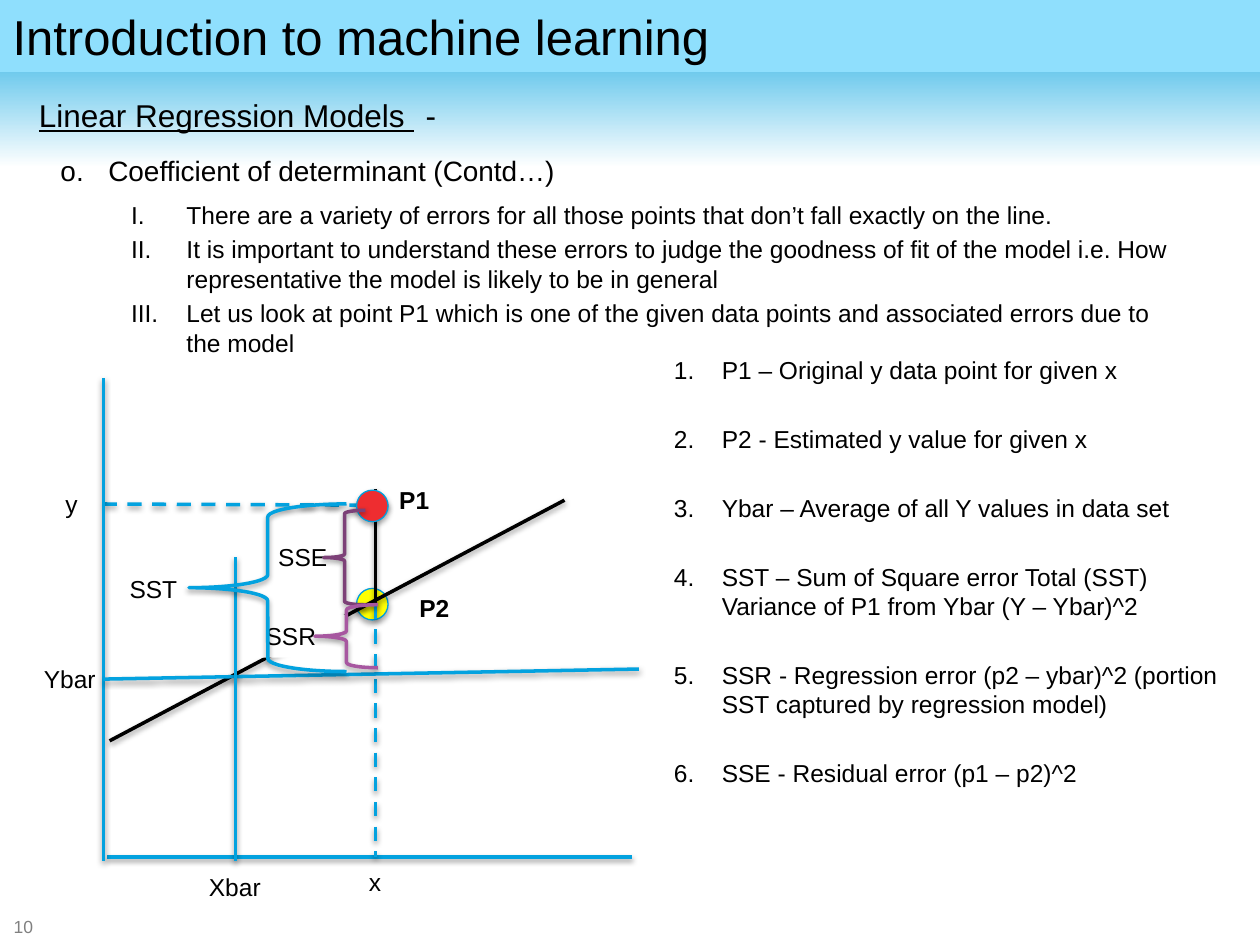
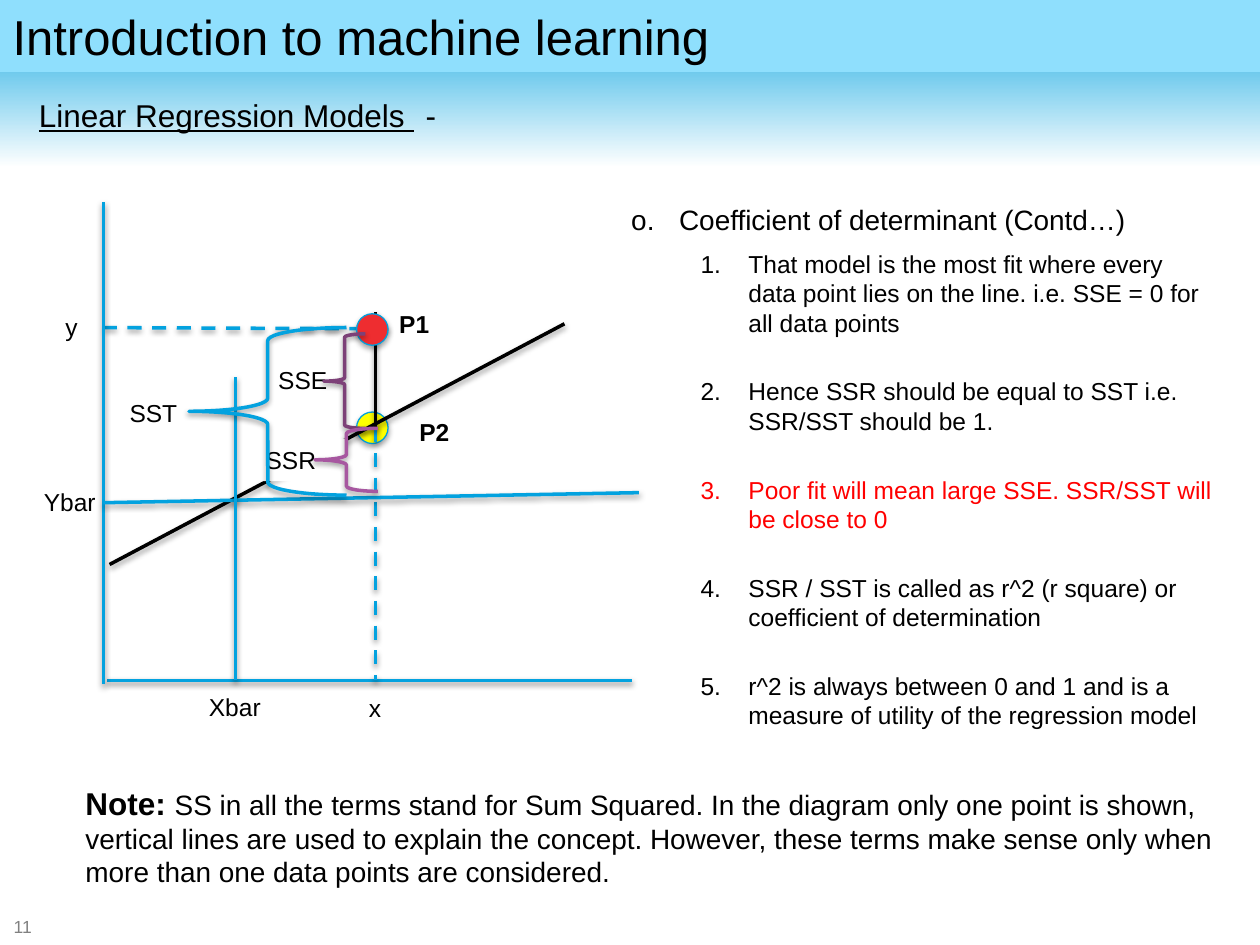
from dataclasses import dataclass
from typing import Optional, Union

from pptx import Presentation
from pptx.dml.color import RGBColor
from pptx.enum.dml import MSO_LINE
from pptx.enum.shapes import MSO_CONNECTOR, MSO_SHAPE
from pptx.enum.text import MSO_ANCHOR, MSO_AUTO_SIZE, PP_ALIGN
from pptx.oxml import parse_xml
from pptx.oxml.ns import nsdecls
from pptx.shapes.autoshape import Shape
from pptx.shapes.connector import Connector
from pptx.slide import Slide, SlideLayout
from pptx.text.text import TextFrame, _Paragraph, _Run
from pptx.util import Inches, Pt


@dataclass(frozen=True)
class Theme:
    font: str = "Arial"
    black: str = "000000"
    white: str = "FFFFFF"
    grey: str = "808080"
    red: str = "FF0000"
    title_band: str = "8FDFFD"
    blue: str = "03A2DF"
    dot_outline: str = "00A0DD"
    observed: str = "EE2D30"
    estimated: str = "FFFF00"
    residual: str = "7D4178"
    regression: str = "A757A0"
    title_size: float = 28
    section_size: float = 18
    heading_size: float = 16
    text_size: float = 14
    number_size: float = 10
    line_width: float = 2
    dot_line_width: float = 0.75
    tight_gap: float = 3
    heading_gap: float = 4
    wide_gap: float = 22.5


THEME = Theme()


@dataclass(frozen=True)
class Box:
    left: float
    top: float
    width: float
    height: float

    def lengths(self, shift: float = 0) -> tuple:
        return (Inches(self.left), Inches(self.top + shift),
                Inches(self.width), Inches(self.height))


@dataclass(frozen=True)
class Segment:
    x1: float
    y1: float
    x2: float
    y2: float
    color: str = THEME.blue
    dashed: bool = False


@dataclass(frozen=True)
class Label:
    text: str
    left: float
    top: float
    width: float
    bold: bool = False
    fill: Optional[str] = None


@dataclass(frozen=True)
class Brace:
    box: Box
    color: str


@dataclass(frozen=True)
class Item:
    text: str
    numbering: str = "arabicPeriod"
    start: int = 1
    level: int = 0
    margin: float = 0.38
    hanging: float = 0.38
    size: float = THEME.text_size
    color: str = THEME.black
    before: float = THEME.wide_gap
    after: float = 0


# Diagram coordinates: y is measured from the top of the y axis.
AXIS_Y = 3.8
DOT_SIZE = 0.25
DOT_LEFT = 2.83
LABEL_HEIGHT = 0.34
SEGMENTS = [
    Segment(3.08, 1.01, 0.83, 1, dashed=True),
    Segment(0.87, 2.88, 4.48, 0.97, THEME.black),
    Segment(0.85, AXIS_Y, 5.02, AXIS_Y),
    Segment(0.82, 3.83, 0.82, 0),
    Segment(2.98, 1.8, 2.98, AXIS_Y, dashed=True),
    Segment(2.98, 1.8, 2.98, 0.88, THEME.black),
    Segment(0.82, 2.39, 5.07, 2.31),
]
LABELS = [
    Label("SSR", 2.01, 1.88, 0.75, fill=THEME.white),
    Label("SSE", 2.11, 1.25, 0.65),
    Label("P1", 3.07, 0.8, 0.68, bold=True),
    Label("Ybar", 0.25, 2.22, 0.83),
    Label("SST", 0.93, 1.51, 0.6),
    Label("y", 0.42, 0.83, 0.33),
    Label("P2", 3.23, 1.66, 0.68, bold=True),
]
BRACES = [
    Brace(Box(2.57, 1.05, 0.33, 0.75), THEME.residual),
    Brace(Box(2.5, 1.8, 0.5, 0.5), THEME.regression),
    Brace(Box(1.5, 1, 1.25, 1.33), THEME.blue),
]

HEADING = Item("Coefficient of determinant (Contd…)", "alphaLcPeriod", 15,
               size=THEME.heading_size, before=0, after=THEME.heading_gap)
ERRORS = [
    "There are a variety of errors for all those points that don’t fall exactly on the line.",
    "It is important to understand these errors to judge the goodness of fit of the model "
    "i.e. How representative the model is likely to be in general",
    "Let us look at point P1 which is one of the given data points and associated errors "
    "due to the model",
]
TERMS = [
    "P1 – Original y data point for given x",
    "P2 - Estimated y value for given x",
    "Ybar – Average of all Y values in data set",
    "SST – Sum of Square error Total (SST) Variance of P1 from Ybar (Y – Ybar)^2",
    "SSR - Regression error (p2 – ybar)^2 (portion SST captured by regression model)",
    "SSE - Residual error (p1 – p2)^2",
]
POOR_FIT = "Poor fit will mean large SSE. SSR/SST will be close to 0"
FIT_RULES = [
    "That model is the most fit where every data point lies on the line. "
    "i.e. SSE = 0 for all data points",
    "Hence SSR should be equal to SST i.e. SSR/SST should be 1.",
    POOR_FIT,
    "SSR / SST is called as r^2 (r square) or coefficient of determination",
    "r^2 is always between 0 and 1 and is a measure of utility of the regression model",
]
NOTE = ("SS in all the terms stand for Sum Squared. In the diagram only one point is shown, "
        "vertical lines are used to explain the concept. However, these terms make sense only "
        "when more than one data points are considered.")


def rgb(color: str) -> RGBColor:
    return RGBColor.from_string(color)


def format_run(run: _Run, size: float, color: str = THEME.black, bold: bool = False) -> None:
    run.font.name = THEME.font
    run.font.size = Pt(size)
    run.font.color.rgb = rgb(color)
    run.font.bold = bold


def add_run(paragraph: _Paragraph, text: str, size: float, bold: bool = False) -> _Run:
    run = paragraph.add_run()
    run.text = text
    format_run(run, size, bold=bold)
    return run


def add_text_box(slide: Slide, box: Box) -> Shape:
    text_box = slide.shapes.add_textbox(*box.lengths())
    text_box.text_frame.word_wrap = True
    return text_box


def add_shadow(shape: Union[Shape, Connector], distance: int = 20000, opacity: int = 38) -> None:
    """Give a soft downward shadow; the fill and line must already be set."""
    shape._element.spPr.append(parse_xml(
        f'<a:effectLst {nsdecls("a")}><a:outerShdw blurRad="40000" dist="{distance}" '
        f'dir="5400000" rotWithShape="0"><a:srgbClr val="{THEME.black}">'
        f'<a:alpha val="{opacity}000"/></a:srgbClr></a:outerShdw></a:effectLst>'))


def add_layout_band(slide: Slide, layout: SlideLayout) -> None:
    """Draw the fading band and move it to the layout, behind every slide."""
    band = slide.shapes.add_shape(MSO_SHAPE.RECTANGLE, *Box(0, 0, 10, 1.33).lengths())
    band.shadow.inherit = False
    band.line.fill.background()
    band.fill.gradient()
    band.fill.gradient_angle = 270
    for stop, color in zip(band.fill.gradient_stops, (THEME.blue, THEME.white)):
        stop.color.rgb = rgb(color)
    layout.shapes._spTree.insert(2, band._element)


def add_items(text_frame: TextFrame, items: list[Item]) -> None:
    text_frame.word_wrap = True
    text_frame.auto_size = MSO_AUTO_SIZE.NONE
    text_frame.vertical_anchor = MSO_ANCHOR.TOP
    text_frame.text = "\n".join(item.text for item in items)
    for paragraph, item in zip(text_frame.paragraphs, items):
        properties = paragraph._p.get_or_add_pPr()
        properties.set("marL", str(Inches(item.margin)))
        properties.set("indent", str(-Inches(item.hanging)))
        start = f' startAt="{item.start}"' if item.start > 1 else ""
        properties.append(parse_xml(
            f'<a:buAutoNum {nsdecls("a")} type="{item.numbering}"{start}/>'))
        paragraph.level = item.level
        paragraph.space_before = Pt(item.before)
        paragraph.space_after = Pt(item.after)
        format_run(paragraph.runs[0], item.size, item.color)


def add_frame(slide: Slide, number: int) -> None:
    """Add the title, the section line and the page number."""
    title = slide.shapes.title
    title.left, title.top, title.width, title.height = Box(0, 0, 10, 0.57).lengths()
    title.fill.solid()
    title.fill.fore_color.rgb = rgb(THEME.title_band)
    title.text_frame.text = "Introduction to machine learning"
    title.text_frame.auto_size = MSO_AUTO_SIZE.NONE
    title.text_frame.vertical_anchor = MSO_ANCHOR.TOP
    paragraph = title.text_frame.paragraphs[0]
    paragraph.alignment = PP_ALIGN.LEFT
    format_run(paragraph.runs[0], THEME.title_size)

    section = add_text_box(slide, Box(0.21, 0.71, 9.21, 0.45)).text_frame.paragraphs[0]
    add_run(section, "Linear Regression Models ", THEME.section_size).font.underline = True
    add_run(section, "\t -", THEME.section_size)

    page = add_text_box(slide, Box(0.01, 7.27, 0.39, 0.16)).text_frame
    page.vertical_anchor = MSO_ANCHOR.MIDDLE
    page.text = str(number)
    format_run(page.paragraphs[0].runs[0], THEME.number_size, THEME.grey)


def add_body(slide: Slide, box: Box, items: list[Item]) -> None:
    body = slide.placeholders[1]
    body.left, body.top, body.width, body.height = box.lengths()
    add_items(body.text_frame, items)


def draw_segment(slide: Slide, segment: Segment, top: float) -> None:
    connector = slide.shapes.add_connector(
        MSO_CONNECTOR.STRAIGHT, Inches(segment.x1), Inches(top + segment.y1),
        Inches(segment.x2), Inches(top + segment.y2))
    connector.line.color.rgb = rgb(segment.color)
    connector.line.width = Pt(THEME.line_width)
    if segment.dashed:
        connector.line.dash_style = MSO_LINE.DASH
    add_shadow(connector)


def draw_dot(slide: Slide, y: float, color: str) -> None:
    dot = slide.shapes.add_shape(
        MSO_SHAPE.OVAL, *Box(DOT_LEFT, y, DOT_SIZE, DOT_SIZE).lengths())
    dot.fill.solid()
    dot.fill.fore_color.rgb = rgb(color)
    dot.line.color.rgb = rgb(THEME.dot_outline)
    dot.line.width = Pt(THEME.dot_line_width)
    add_shadow(dot, 23000, 35)


def draw_label(slide: Slide, label: Label, top: float) -> None:
    text_box = add_text_box(
        slide, Box(label.left, top + label.top, label.width, LABEL_HEIGHT))
    if label.fill:
        text_box.fill.solid()
        text_box.fill.fore_color.rgb = rgb(label.fill)
    text_box.text_frame.text = label.text
    format_run(text_box.text_frame.paragraphs[0].runs[0], THEME.text_size, bold=label.bold)


def draw_brace(slide: Slide, brace: Brace, top: float) -> None:
    shape = slide.shapes.add_shape(MSO_SHAPE.LEFT_BRACE, *brace.box.lengths(top))
    shape.fill.background()
    shape.line.color.rgb = rgb(brace.color)
    shape.line.width = Pt(THEME.line_width)
    add_shadow(shape)


def draw_diagram(slide: Slide, top: float, x_drop: float, mean_drop: float) -> None:
    """Draw the regression diagram; the drops place x and Xbar below the x axis."""
    mean_end = AXIS_Y + mean_drop
    mean_line = Segment(1.87, mean_end, 1.87, mean_end - 2.41)
    x_labels = [Label("x", 2.83, AXIS_Y + x_drop, 0.33),
                Label("Xbar", 1.56, mean_end + 0.04, 0.83)]
    draw_dot(slide, top + 1.67, THEME.estimated)
    for segment in SEGMENTS + [mean_line]:
        draw_segment(slide, segment, top)
    draw_dot(slide, top + 0.89, THEME.observed)
    for label in LABELS + x_labels:
        draw_label(slide, label, top)
    for brace in BRACES:
        draw_brace(slide, brace, top)


def main() -> None:
    presentation = Presentation()
    presentation.slide_width, presentation.slide_height = Inches(10), Inches(7.5)
    layout = presentation.slide_layouts[1]
    errors_slide, fit_slide = (presentation.slides.add_slide(layout) for _ in range(2))
    add_layout_band(errors_slide, layout)
    for number, slide in enumerate((errors_slide, fit_slide), start=10):
        add_frame(slide, number)

    add_body(errors_slide, Box(0.38, 1.17, 9, 1.76), [HEADING] + [
        Item(text, "romanUcPeriod", level=1, margin=1, hanging=0.44, before=THEME.tight_gap)
        for text in ERRORS])
    terms = add_text_box(errors_slide, Box(5.25, 2.77, 4.61, 3.96))
    add_items(terms.text_frame, [
        Item(text, before=THEME.wide_gap if index else 0) for index, text in enumerate(TERMS)])
    draw_diagram(errors_slide, top=3, x_drop=0.03, mean_drop=0.03)

    add_body(fit_slide, Box(4.91, 1.56, 4.84, 4.4), [HEADING] + [
        Item(text, level=1, margin=0.93, color=THEME.red if text == POOR_FIT else THEME.black,
             before=THEME.wide_gap if index else THEME.tight_gap)
        for index, text in enumerate(FIT_RULES)])
    draw_diagram(fit_slide, top=1.6, x_drop=0.05, mean_drop=0)
    note = add_text_box(fit_slide, Box(0.58, 6.17, 9.25, 0.94)).text_frame.paragraphs[0]
    add_run(note, "Note: ", THEME.section_size, bold=True)
    add_run(note, NOTE, THEME.heading_size)

    presentation.save("out.pptx")


if __name__ == "__main__":
    main()
